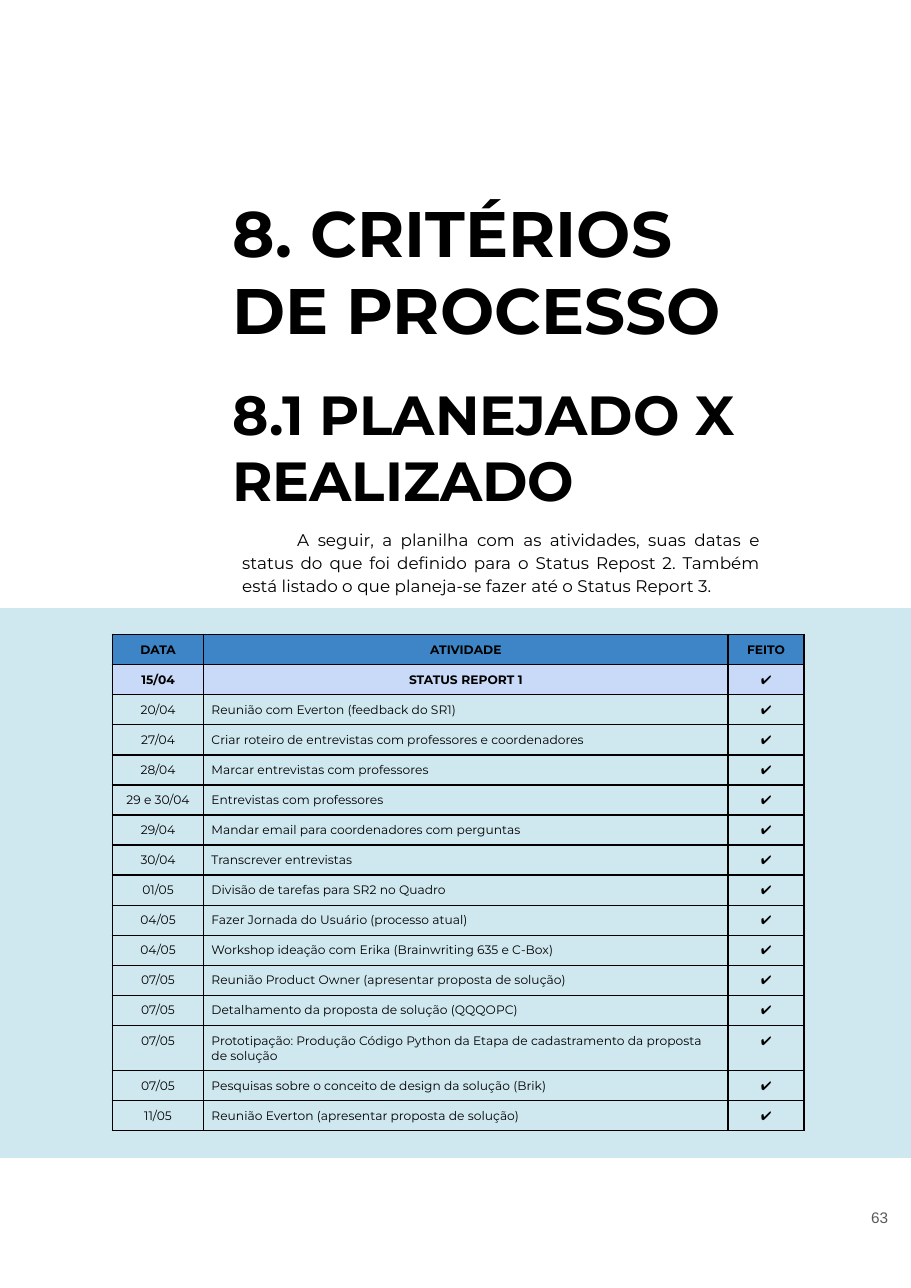
import pptx
import pptx.util
import pptx.dml.color
import pptx.enum.shapes
import pptx.enum.text
import pptx.oxml
import pptx.oxml.ns
from pptx.util import Inches

ALIGN = pptx.enum.text.PP_ALIGN
ANCHOR = pptx.enum.text.MSO_ANCHOR
FONT = "Montserrat"
BLACK = "000000"
CHECK = "✔"

COLUMN_WIDTHS = [0.83, 4.76, 0.69]
ROW_HEIGHT = 0.27
TALL_ROW_HEIGHT = 0.41
TALL_ROW = 13
ROW_FILLS = {0: "3D85C6", 1: "C9DAF8"}
ACTIVITIES = [
    ("15/04", "STATUS REPORT 1"),
    ("20/04", "Reunião com Everton (feedback do SR1)"),
    ("27/04", "Criar roteiro de entrevistas com professores e coordenadores"),
    ("28/04", "Marcar entrevistas com professores"),
    ("29 e 30/04", "Entrevistas com professores"),
    ("29/04", "Mandar email para coordenadores com perguntas"),
    ("30/04", "Transcrever entrevistas"),
    ("01/05", "Divisão de tarefas para SR2 no Quadro"),
    ("04/05", "Fazer Jornada do Usuário (processo atual)"),
    ("04/05", "Workshop ideação com Erika (Brainwriting 635 e C-Box)"),
    ("07/05", "Reunião Product Owner (apresentar proposta de solução)"),
    ("07/05", "Detalhamento da proposta de solução (QQQOPC)"),
    ("07/05", "Prototipação: Produção Código Python da Etapa de "
              "cadastramento da proposta de solução"),
    ("07/05", "Pesquisas sobre o conceito de design da solução (Brik)"),
    ("11/05", "Reunião Everton (apresentar proposta de solução)"),
]
INTRO = ("A seguir, a planilha com as atividades, suas datas e status do que foi "
         "definido para o Status Repost 2. Também está listado o que planeja-se "
         "fazer até o Status Report 3.")


def color(value):
    return pptx.dml.color.RGBColor.from_string(value)


def write(tf, text, size, inset, font=FONT, fill=BLACK, bold=False, align=ALIGN.LEFT):
    tf.text = text
    tf.word_wrap = True
    p = tf.paragraphs[0]
    p.alignment = align
    r = p.runs[0]
    r.font.name = font
    r.font.size = pptx.util.Pt(size)
    r.font.bold = bold
    r.font.color.rgb = color(fill)
    return p


def add_text(s, left, top, width, height, text, size, anchor=ANCHOR.TOP, **style):
    box = s.shapes.add_textbox(Inches(left), Inches(top), Inches(width), Inches(height))
    tf = box.text_frame
    tf.vertical_anchor = anchor
    tf.margin_left = tf.margin_right = tf.margin_top = tf.margin_bottom = Inches(0.1)
    return write(tf, text, size, 0.1, **style)


def add_borders(cell, line_color, width):
    tcPr = cell._tc.get_or_add_tcPr()
    for i, side in enumerate(("lnL", "lnR", "lnT", "lnB")):
        tcPr.insert(i, pptx.oxml.parse_xml(
            f'<a:{side} {pptx.oxml.ns.nsdecls("a")} w="{pptx.util.Pt(width)}">'
            f'<a:solidFill><a:srgbClr val="{line_color}"/></a:solidFill></a:{side}>'))


def headings(s, left, top, width):
    add_text(s, left, top, width, 1.6, "8. CRITÉRIOS DE PROCESSO", 42, bold=True)
    add_text(s, left, top + 1.7, width, 1.35, "8.1 PLANEJADO X REALIZADO", 36, bold=True)
    # Introduction with a first-line indent
    p = add_text(s, left + 0.09, top + 3.03, width - 0.09, 0.68, INTRO, 11,
                 align=ALIGN.JUSTIFY)
    p.line_spacing = 1.15
    pPr = p._p.get_or_add_pPr()
    pPr.set("marL", "0")
    pPr.set("indent", str(Inches(0.5)))


def band(s, left, top, width, height):
    sp = s.shapes.add_shape(pptx.enum.shapes.MSO_SHAPE.RECTANGLE,
                            Inches(left), Inches(top), Inches(width), Inches(height))
    sp.shadow.inherit = False
    sp.fill.solid()
    sp.fill.fore_color.rgb = color("CFE8EF")
    sp.line.fill.background()


def schedule(s, left, top):
    rows = [("DATA", "ATIVIDADE", "FEITO")] + [(*a, CHECK) for a in ACTIVITIES]
    heights = [TALL_ROW_HEIGHT if i == TALL_ROW else ROW_HEIGHT for i in range(len(rows))]
    frame = s.shapes.add_table(len(rows), len(COLUMN_WIDTHS), Inches(left), Inches(top),
                               Inches(sum(COLUMN_WIDTHS)), Inches(sum(heights)))
    table = frame.table
    table.first_row = table.horz_banding = False
    for column, width in zip(table.columns, COLUMN_WIDTHS):
        column.width = Inches(width)
    for i, (row, height) in enumerate(zip(rows, heights)):
        table.rows[i].height = Inches(height)
        is_header = i in ROW_FILLS
        for j, text in enumerate(row):
            cell = table.cell(i, j)
            cell.margin_left = cell.margin_right = Inches(0.07)
            cell.margin_top = cell.margin_bottom = Inches(0.07)
            centered = is_header or j != 1
            write(cell.text_frame, text, 8, 0.07, bold=is_header,
                  align=ALIGN.CENTER if centered else ALIGN.LEFT)
            if is_header:
                cell.fill.solid()
                cell.fill.fore_color.rgb = color(ROW_FILLS[i])
            else:
                cell.fill.background()
            add_borders(cell, BLACK, 1)


def page_number(s, left, top, width, height):
    add_text(s, left, top, width, height, "63", 10, anchor=ANCHOR.MIDDLE,
             font="Arial", fill="595959", align=ALIGN.RIGHT)


def main():
    prs = pptx.Presentation()
    prs.slide_width = Inches(8.27)
    prs.slide_height = Inches(11.69)
    s = prs.slides.add_slide(prs.slide_layouts[6])
    band(s, 0, 5.52, 8.31, 4.99)
    headings(s, 2.01, 1.65, 4.99)
    schedule(s, 1.02, 5.76)
    page_number(s, 7.66, 10.6, 0.5, 0.89)
    prs.save("out.pptx")


if __name__ == "__main__":
    main()
